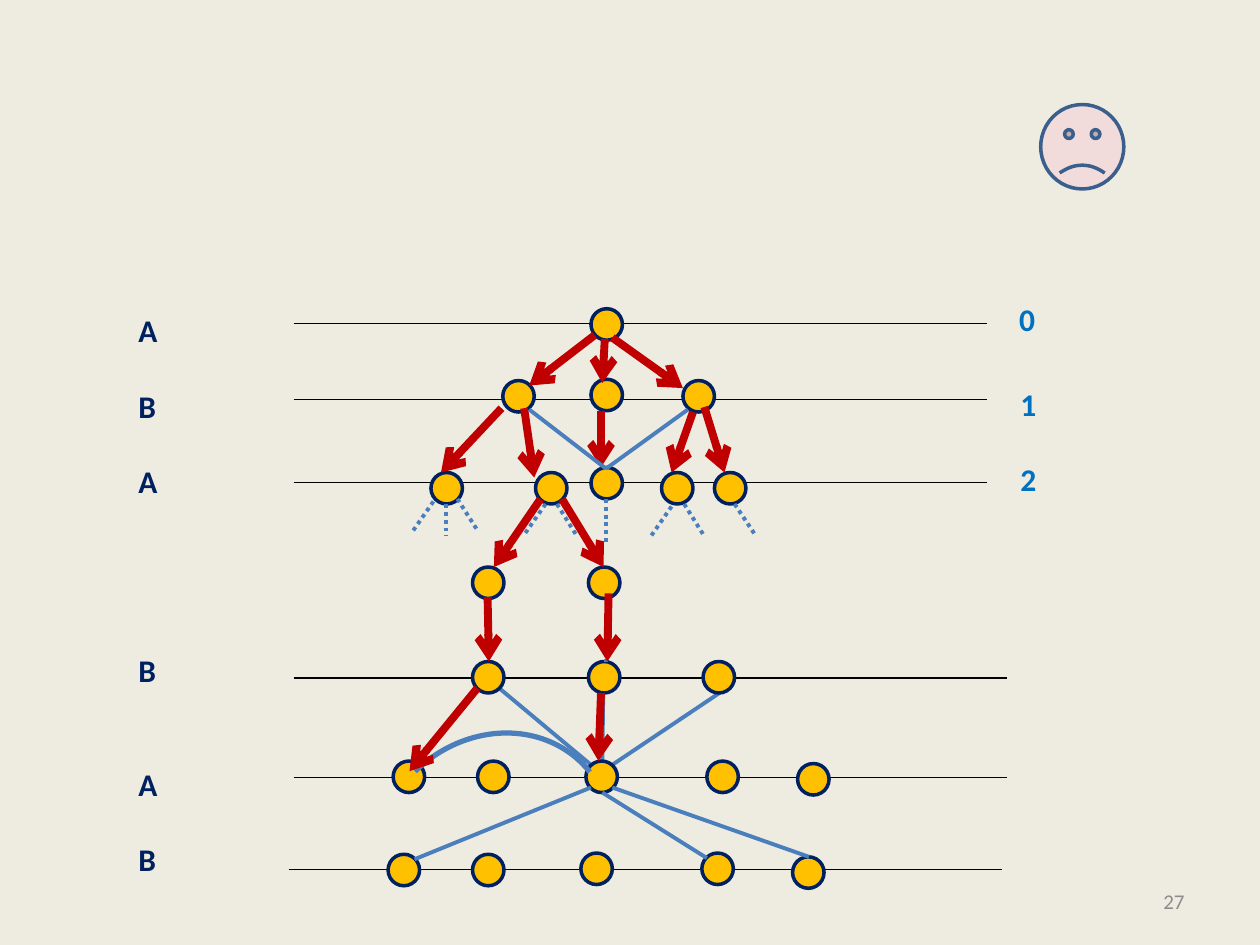
from dataclasses import dataclass

from lxml import etree
from pptx import Presentation
from pptx.dml.color import RGBColor
from pptx.enum.dml import MSO_LINE
from pptx.enum.shapes import MSO_CONNECTOR, MSO_SHAPE
from pptx.enum.text import MSO_ANCHOR, PP_ALIGN
from pptx.oxml.ns import qn
from pptx.util import Inches, Pt

STRAIGHT = MSO_CONNECTOR.STRAIGHT
OVAL, ARC, FACE = MSO_SHAPE.OVAL, MSO_SHAPE.ARC, MSO_SHAPE.SMILEY_FACE
DOTTED = MSO_LINE.ROUND_DOT
MIDDLE, RIGHT = MSO_ANCHOR.MIDDLE, PP_ALIGN.RIGHT


@dataclass(frozen=True)
class Theme:
    font: str = "Calibri"
    label_size: int = 18
    number_size: int = 12
    background: RGBColor = RGBColor.from_string("EEECE1")
    level: RGBColor = RGBColor.from_string("000000")
    node: RGBColor = RGBColor.from_string("FFC000")
    navy: RGBColor = RGBColor.from_string("002060")
    depth: RGBColor = RGBColor.from_string("0070C0")
    edge: RGBColor = RGBColor.from_string("4B7EBC")
    path_red: RGBColor = RGBColor.from_string("C00000")
    face: RGBColor = RGBColor.from_string("F2DCDB")
    face_line: RGBColor = RGBColor.from_string("3A5F8C")
    number: RGBColor = RGBColor.from_string("8C8C8C")


theme = Theme()
NODE_SIZE = 0.25
LABEL_LINE = 21.6  # points from one label line to the next

prs = Presentation()
prs.slide_width, prs.slide_height = Inches(10), Inches(7.5)
slide = prs.slides.add_slide(prs.slide_layouts[6])
slide.background.fill.solid()
slide.background.fill.fore_color.rgb = theme.background


def add_strokes(ends, color, width, dotted=False, arrow=False):
    """Draw a line for each (x1, y1, x2, y2), in inches."""
    for end in ends:
        stroke = slide.shapes.add_connector(STRAIGHT, *map(Inches, end))
        stroke.line.color.rgb = color
        stroke.line.width = Pt(width)
        if dotted:
            stroke.line.dash_style = DOTTED
        if arrow:
            etree.SubElement(stroke.line._get_or_add_ln(), qn("a:tailEnd"), type="arrow")
        etree.SubElement(stroke._element.spPr, qn("a:effectLst"))


def add_label(text, left, top, width, height, color, size, bold=True):
    label = slide.shapes.add_textbox(*map(Inches, (left, top, width, height)))
    paragraph = label.text_frame.paragraphs[0]
    paragraph.text = text
    paragraph.font.name = theme.font
    paragraph.font.size = Pt(size)
    paragraph.font.bold = bold
    paragraph.font.color.rgb = color
    return label.text_frame


# Horizontal levels of the search tree
levels = [
    (2.33, 2.57, 7.83), (2.33, 3.17, 7.83), (2.33, 3.83, 7.83),
    (2.33, 5.38, 7.99), (2.33, 6.17, 7.99), (2.29, 6.9, 7.95),
]
add_strokes([(left, y, right, y) for left, y, right in levels], theme.level, 0.75)

# Edges that run behind the nodes
add_strokes([
    (4.78, 6.08, 4.79, 5.3), (3.96, 5.46, 4.69, 6.07), (4.86, 6.07, 5.71, 5.5),
], theme.edge, 2.25)

# Nodes, as (left, top), one row of the tree per line
nodes = [
    (4.69, 2.45),
    (3.99, 3.02), (4.69, 3.01), (5.42, 3.02),
    (3.42, 3.75), (4.25, 3.75), (4.69, 3.71), (5.25, 3.75), (5.67, 3.75),
    (3.75, 4.5), (4.67, 4.5),
    (3.75, 5.25), (4.67, 5.25), (5.58, 5.25),
    (3.12, 6.04), (3.79, 6.04), (4.65, 6.04), (5.61, 6.04), (6.33, 6.06),
    (3.08, 6.78), (3.75, 6.78), (4.61, 6.77), (5.57, 6.77), (6.29, 6.8),
]
for left, top in nodes:
    node = slide.shapes.add_shape(
        OVAL, Inches(left), Inches(top), Inches(NODE_SIZE), Inches(NODE_SIZE))
    node.shadow.inherit = False
    node.fill.solid()
    node.fill.fore_color.rgb = theme.node
    node.line.color.rgb = theme.navy
    node.line.width = Pt(2)

# Branches that are left unexplored
add_strokes([
    (3.44, 3.98, 3.28, 4.21), (3.54, 4, 3.54, 4.25), (3.63, 3.96, 3.79, 4.21),
    (4.33, 4, 4.17, 4.23), (4.42, 4, 4.57, 4.24), (4.81, 3.96, 4.81, 4.33),
    (5.33, 4.02, 5.17, 4.25), (5.43, 4, 5.58, 4.24), (5.83, 4, 5.99, 4.24),
    (4.81, 4.98, 4.81, 5.25),
], theme.edge, 2.25, dotted=True)

# Edges down to the last level
add_strokes([
    (4.78, 6.29, 5.61, 6.81), (6.42, 6.8, 4.86, 6.25), (4.69, 6.25, 3.29, 6.82),
], theme.edge, 2.25)

same_level_edge = slide.shapes.add_shape(
    ARC, Inches(2.92), Inches(5.87), Inches(1.99), Inches(1.78))
same_level_edge.shadow.inherit = False
same_level_edge.rotation = 315.8
same_level_edge.adjustments[1] = 2.78
same_level_edge.fill.background()
same_level_edge.line.color.rgb = theme.edge
same_level_edge.line.width = Pt(3)

# Explored paths
add_strokes([
    (4.72, 2.66, 4.2, 3.06), (4.8, 2.69, 4.78, 3.04), (4.86, 2.68, 5.42, 3.08),
    (3.98, 3.24, 3.5, 3.75), (4.16, 3.24, 4.24, 3.79), (4.77, 3.26, 4.77, 3.71),
    (5.5, 3.27, 5.33, 3.75), (5.59, 3.23, 5.75, 3.75),
    (4.29, 3.96, 3.92, 4.5), (4.46, 3.96, 4.79, 4.5),
    (3.87, 4.74, 3.88, 5.25), (4.83, 4.71, 4.82, 5.25),
    (3.79, 5.46, 3.25, 6.12), (4.77, 5.5, 4.75, 6.04),
], theme.path_red, 4.5, arrow=True)

# Edges that meet in the shared node of level 2
add_strokes([(4.2, 3.25, 4.81, 3.72), (5.46, 3.25, 4.81, 3.72)], theme.edge, 2.25)

# Player letters, each with the number of free lines above it
players = add_label("A", 1, 2.42, 0.35, 4.64, theme.navy, theme.label_size)
for letter, free_lines in [("B", 1), ("A", 1), ("B", 4), ("A", 2), ("B", 1)]:
    player = players.add_paragraph()
    player.text = letter
    player.space_before = Pt(free_lines * LABEL_LINE)
    player.font.name = theme.font
    player.font.size = Pt(theme.label_size)
    player.font.bold = True
    player.font.color.rgb = theme.navy

for depth, left, top in [("0", 7.99, 2.33), ("1", 8, 3.01), ("2", 8, 3.6)]:
    add_label(depth, left, top, 0.33, 0.4, theme.depth, theme.label_size)

sad_face = slide.shapes.add_shape(
    FACE, Inches(8.26), Inches(0.83), Inches(0.66), Inches(0.67))
sad_face.shadow.inherit = False
sad_face.adjustments[0] = -0.047
sad_face.fill.solid()
sad_face.fill.fore_color.rgb = theme.face
sad_face.line.color.rgb = theme.face_line
sad_face.line.width = Pt(2)

page_number = add_label(
    "27", 7.17, 6.95, 2.33, 0.4, theme.number, theme.number_size, bold=False)
page_number.word_wrap = True
page_number.vertical_anchor = MIDDLE
page_number.paragraphs[0].alignment = RIGHT

prs.save("out.pptx")
